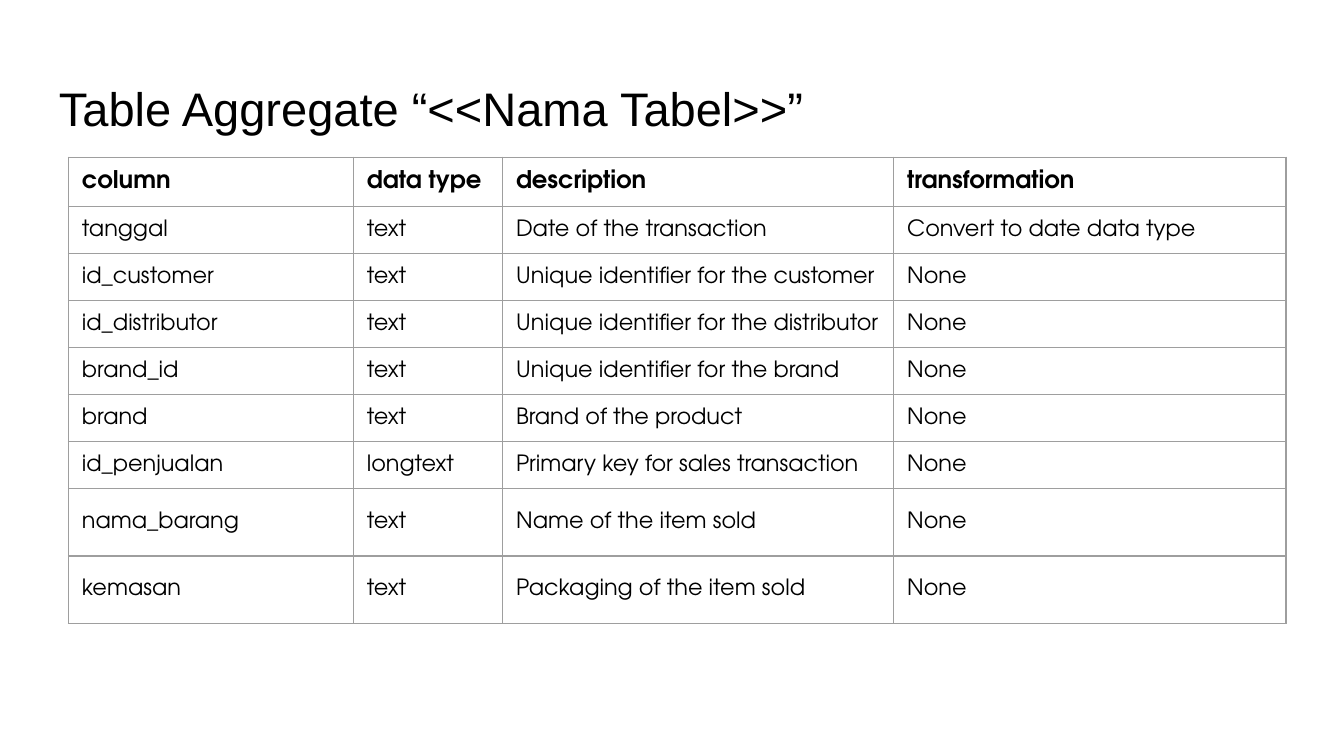
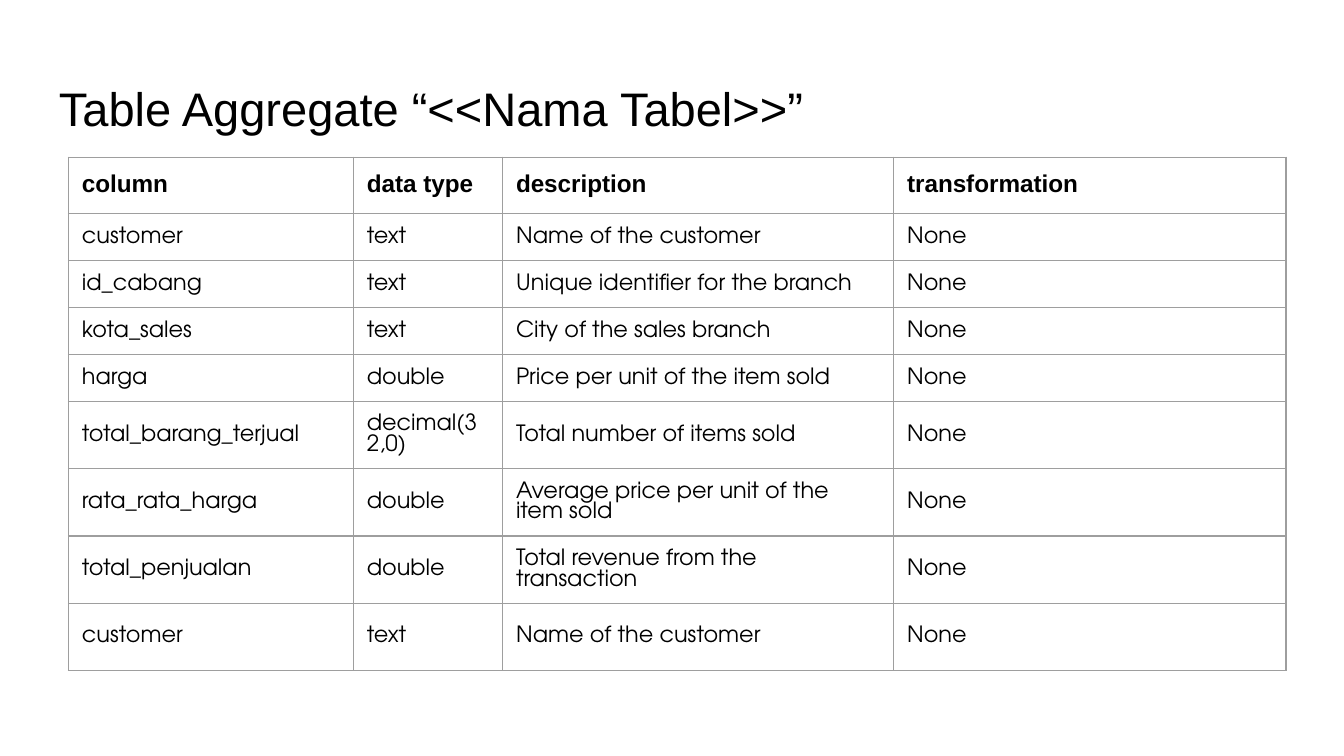
"""Two slides that describe the columns of an aggregate table."""
from pptx import Presentation
from pptx.dml.color import RGBColor
from pptx.enum.text import MSO_ANCHOR
from pptx.oxml.ns import qn
from pptx.util import Inches, Pt
from lxml.etree import SubElement

COLORS = {"text": "000000", "border": "9E9E9E"}
TITLE_FONT, BODY_FONT = "Arial", "TeX Gyre Adventor"
TITLE = "Table Aggregate “<<Nama Tabel>>”"
HEADER = ("column", "data type", "description", "transformation")
COL_WIDTHS = (2.12, 1.11, 2.91, 2.92)
ROW_HEIGHTS = [0.35] * 7 + [0.5] * 2

SLIDES = [
    {
        "header_font": BODY_FONT,
        "table_height": 3.67,
        "rows": [
            ("tanggal", "text", "Date of the transaction", "Convert to date data type"),
            ("id_customer", "text", "Unique identifier for the customer", "None"),
            ("id_distributor", "text", "Unique identifier for the distributor", "None"),
            ("brand_id", "text", "Unique identifier for the brand", "None"),
            ("brand", "text", "Brand of the product", "None"),
            ("id_penjualan", "longtext", "Primary key for sales transaction", "None"),
            ("nama_barang", "text", "Name of the item sold", "None"),
            ("kemasan", "text", "Packaging of the item sold", "None"),
        ],
    },
    {
        "header_font": TITLE_FONT,
        "table_height": 3.82,
        "rows": [
            ("customer", "text", "Name of the customer", "None"),
            ("id_cabang", "text", "Unique identifier for the branch", "None"),
            ("kota_sales", "text", "City of the sales branch", "None"),
            ("harga", "double", "Price per unit of the item sold", "None"),
            ("total_barang_terjual", "decimal(32,0)", "Total number of items sold", "None"),
            ("rata_rata_harga", "double", "Average price per unit of the item sold", "None"),
            ("total_penjualan", "double", "Total revenue from the transaction", "None"),
            ("customer", "text", "Name of the customer", "None"),
        ],
    },
]


def write(tf, text, size=12, font=BODY_FONT, bold=False):
    r = tf.paragraphs[0].add_run()
    r.text = text
    r.font.size = Pt(size)
    r.font.name = font
    r.font.bold = bold
    r.font.color.rgb = RGBColor.from_string(COLORS["text"])


def set_insets(obj, inset):
    obj.margin_left = obj.margin_right = Inches(inset)
    obj.margin_top = obj.margin_bottom = Inches(inset)


def add_borders(cell):
    tc_pr = cell._tc.get_or_add_tcPr()
    for side in ("a:lnL", "a:lnR", "a:lnT", "a:lnB"):
        ln = SubElement(tc_pr, qn(side), w=str(Pt(0.75)))
        fill = SubElement(ln, qn("a:solidFill"))
        SubElement(fill, qn("a:srgbClr"), val=COLORS["border"])


def add_title(s):
    tf = s.shapes.add_textbox(Inches(0.34), Inches(0.49), Inches(9.32), Inches(0.63)).text_frame
    tf.word_wrap = True
    set_insets(tf, 0.1)
    write(tf, TITLE, size=25.2, font=TITLE_FONT)


def add_columns_table(s, rows, header_font, table_height):
    frame = s.shapes.add_table(
        len(rows) + 1, len(HEADER), Inches(0.51), Inches(1.17),
        Inches(sum(COL_WIDTHS)), Inches(table_height))
    table = frame.table
    table.first_row = table.horz_banding = False
    for col, width in zip(table.columns, COL_WIDTHS):
        col.width = Inches(width)
    for row, height in zip(table.rows, ROW_HEIGHTS):
        row.height = Inches(height)
    frame.height = Inches(table_height)
    for i, values in enumerate([HEADER] + rows):
        for j, text in enumerate(values):
            cell = table.cell(i, j)
            add_borders(cell)
            cell.fill.background()
            if i == 0:
                set_insets(cell, 0.1)
                write(cell.text_frame, text, size=13, font=header_font, bold=True)
            else:
                cell.vertical_anchor = MSO_ANCHOR.MIDDLE
                write(cell.text_frame, text)


def main():
    prs = Presentation()
    prs.slide_width, prs.slide_height = Inches(10), Inches(10 * 9 / 16)
    for content in SLIDES:
        s = prs.slides.add_slide(prs.slide_layouts[6])
        add_columns_table(s, **content)
        add_title(s)
    prs.save("out.pptx")


if __name__ == "__main__":
    main()
